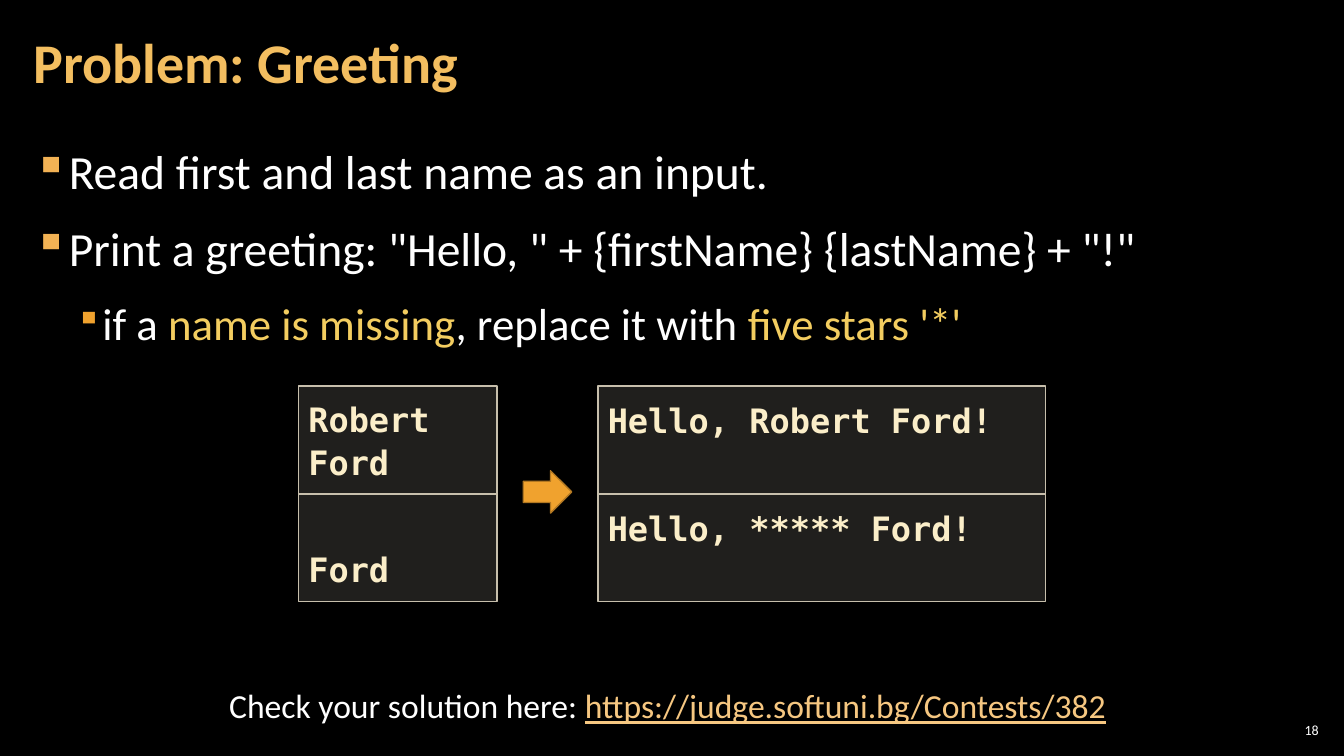
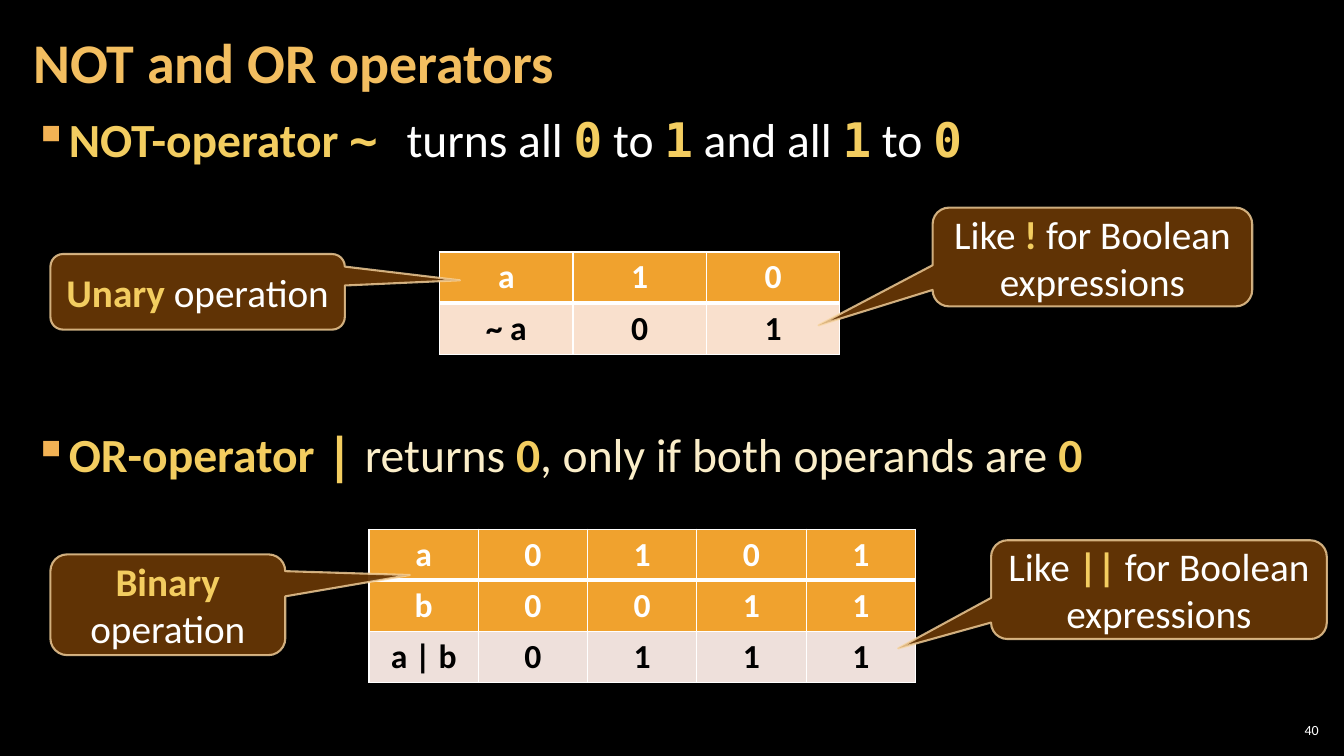
from lxml import etree
from pptx import Presentation
from pptx.dml.color import RGBColor
from pptx.enum import shapes, text
from pptx.oxml import ns
from pptx.util import Inches, Pt

rgb = RGBColor.from_string
SANS, MONO = "Calibri", "DejaVu Sans Mono"
WHITE, BLACK, CREAM = "FFFFFF", "000000", "FBEEC9"
TITLE, YELLOW, ORANGE = "F3BE60", "F3CD60", "F0A22E"
LEFT, MIDDLE = text.PP_ALIGN.LEFT, text.MSO_ANCHOR.MIDDLE
CENTER, RIGHT = text.PP_ALIGN.CENTER, text.PP_ALIGN.RIGHT


def add_runs(p, size, runs, align=LEFT):
    p.alignment = align
    for words, color, bold, font in runs:
        r = p.add_run()
        r.text = words
        r.font.size = Pt(size)
        r.font.name = font
        r.font.bold = bold
        r.font.color.rgb = rgb(color)
    return p


def paint(sp, fill, line, width, fill_alpha=100, line_alpha=100):
    sp.shadow.inherit = False
    sp.fill.solid()
    sp.fill.fore_color.rgb = rgb(fill)
    sp.line.color.rgb = rgb(line)
    sp.line.width = Pt(width)
    for route, alpha in (("", fill_alpha), ("a:ln/", line_alpha)):
        clr = sp._element.spPr.xpath(f"./{route}a:solidFill/a:srgbClr")[0]
        etree.SubElement(clr, ns.qn("a:alpha"), val=str(alpha * 1000))


prs = Presentation()
prs.slide_width, prs.slide_height = Inches(13.33), Inches(7.5)
back = prs.slide_master.background.fill
back.solid()
back.fore_color.rgb = rgb(BLACK)
layout = prs.slide_layouts[5]

greeting_body = [
    (0, 0, [("Read first and last name as an input.", WHITE, False, SANS)]),
    (0, 6, [('Print a greeting: "Hello, " + {firstName} {lastName} + "!"', WHITE, False, SANS)]),
    (1, 6, [("if a ", WHITE, False, SANS), ("name is missing", YELLOW, False, SANS),
            (", replace it with ", WHITE, False, SANS), ("five stars '*'", YELLOW, False, SANS)]),
]
operators_body = [
    (0, 0, [("NOT-operator ", YELLOW, True, SANS), ("~ ", YELLOW, True, MONO),
            ("turns all ", WHITE, False, SANS), ("0", YELLOW, True, MONO),
            (" to ", WHITE, False, SANS), ("1", YELLOW, True, MONO),
            (" and all ", WHITE, False, SANS), ("1", YELLOW, True, MONO),
            (" to ", WHITE, False, SANS), ("0", YELLOW, True, MONO)]),
    (0, 183, [("OR-operator ", YELLOW, True, SANS), ("|", YELLOW, True, MONO),
              (" returns ", CREAM, False, SANS), ("0", YELLOW, True, SANS),
              (", only if both operands are ", CREAM, False, SANS), ("0", YELLOW, True, SANS)]),
]
levels = [(34, 0.33, 0.33, "F2B254", 100), (32, 0.67, 0.25, ORANGE, 80)]
pages = [
    ("Problem: Greeting", "18", 1.34, 1.05, greeting_body),
    ("NOT and OR operators", "40", 1.12, Pt(36), operators_body),
]

for title, number, top, spacing, body in pages:
    s = prs.slides.add_slide(layout)
    sp = s.shapes.title
    sp.left, sp.top, sp.width, sp.height = [Inches(v) for v in (0.21, 0.04, 10.47, 1.21)]
    num = s.shapes.add_textbox(Inches(12.65), Inches(7.14), Inches(0.47), Inches(0.21))
    box = s.shapes.add_textbox(Inches(0.21), Inches(top), Inches(12.91), Inches(7.35 - top))
    for holder, side in ((sp, 0.12), (num, 0.04), (box, 0.12)):
        tf = holder.text_frame
        tf.word_wrap = True
        tf.auto_size = text.MSO_AUTO_SIZE.NONE
        tf.margin_left = tf.margin_right = Inches(side)
        tf.margin_top = tf.margin_bottom = Inches(0.04)
        tf.vertical_anchor = text.MSO_ANCHOR.TOP if holder is box else MIDDLE
    p = add_runs(sp.text_frame.paragraphs[0], 40, [(title, TITLE, True, SANS)])
    p.line_spacing = 0.9
    add_runs(num.text_frame.paragraphs[0], 10, [(number, WHITE, False, SANS)], RIGHT)

    tf = box.text_frame
    for i, (level, before, runs) in enumerate(body):
        p = tf.add_paragraph() if i else tf.paragraphs[0]
        size, margin, hang, color, percent = levels[level]
        p.level = level
        pPr = p._p.get_or_add_pPr()
        pPr.set("marL", str(Inches(margin)))
        pPr.set("indent", str(-Inches(hang)))
        clr = etree.SubElement(pPr, ns.qn("a:buClr"))
        etree.SubElement(clr, ns.qn("a:srgbClr"), val=color)
        etree.SubElement(pPr, ns.qn("a:buSzPct"), val=str(percent * 1000))
        etree.SubElement(pPr, ns.qn("a:buChar"), char="▪")
        p.line_spacing = spacing
        p.space_before, p.space_after = Pt(before), Pt(6)
        add_runs(p, size, runs)

greeting, operators = prs.slides

columns = [
    (2.96, 1.97, [["Robert", "Ford"], ["Hello, Robert Ford!"]][0], ["Ford"], text.MSO_ANCHOR.BOTTOM),
    (5.93, 4.44, ["Hello, Robert Ford!"], ["Hello, ***** Ford!"], text.MSO_ANCHOR.TOP),
]
columns[0] = (2.96, 1.97, ["Robert", "Ford"], ["Ford"], text.MSO_ANCHOR.BOTTOM)
for left, width, first, second, anchor in columns:
    for row, lines in enumerate((first, second)):
        sp = greeting.shapes.add_shape(shapes.MSO_SHAPE.RECTANGLE, Inches(left),
                                       Inches(3.83 + 1.07 * row), Inches(width), Inches(1.07))
        paint(sp, "D9D5C7", "C7BFAC", 1, fill_alpha=15)
        tf = sp.text_frame
        tf.word_wrap = True
        tf.vertical_anchor = anchor
        tf.margin_left = tf.margin_right = Inches(0.1)
        tf.margin_top = tf.margin_bottom = Inches(0.12)
        for i, line in enumerate(lines):
            p = tf.add_paragraph() if i else tf.paragraphs[0]
            p.line_spacing = 1.05
            add_runs(p, 24, [(line, CREAM, True, MONO)])

arrow = greeting.shapes.add_shape(shapes.MSO_SHAPE.RIGHT_ARROW, Inches(5.19), Inches(4.67),
                                  Inches(0.48), Inches(0.42))
paint(arrow, ORANGE, "B27822", 1)

check = greeting.shapes.add_textbox(Inches(0.83), Inches(6.75), Inches(11.58), Inches(0.5))
check.text_frame.word_wrap = True
p = add_runs(check.text_frame.paragraphs[0], 24, [
    ("Check your solution here: ", WHITE, False, SANS),
    ("https://judge.softuni.bg/Contests/382", "F6C781", False, SANS)], CENTER)
p.runs[1].font.underline = True

tables = [
    (4.36, 2.5, 3.97, "F9E0CD", [["a", "1", "0"], ["~ a", "0", "1"]]),
    (3.66, 5.25, 5.42, "EEE0DB", [["a", "0", "1", "0", "1"], ["b", "0", "0", "1", "1"],
                                  ["a | b", "0", "1", "1", "1"]]),
]
for left, top, width, result_fill, rows in tables:
    table = operators.shapes.add_table(len(rows), len(rows[0]), Inches(left), Inches(top),
                                       Inches(width), Inches(0.5 * len(rows))).table
    for i, row in enumerate(rows):
        result = i == len(rows) - 1
        for j, value in enumerate(row):
            cell = table.cell(i, j)
            cell.vertical_anchor = MIDDLE
            cell.fill.solid()
            cell.fill.fore_color.rgb = rgb(result_fill if result else ORANGE)
            add_runs(cell.text_frame.paragraphs[0], 24,
                     [(value, BLACK if result else WHITE, True, SANS)], CENTER)
            edges = {"L": 1, "R": 1, "T": 3 if i == 1 else 1, "B": 3 if i == 0 else 1}
            tcPr = cell._tc.get_or_add_tcPr()
            for k, (edge, weight) in enumerate(edges.items()):
                ln = etree.Element(ns.qn(f"a:ln{edge}"), w=str(Pt(weight)))
                fill = etree.SubElement(ln, ns.qn("a:solidFill"))
                etree.SubElement(fill, ns.qn("a:srgbClr"), val=WHITE)
                tcPr.insert(k, ln)

callouts = [
    (0.5, 2.52, 2.92, 0.75, (0.891, -0.152),
     [("Unary ", YELLOW, True, SANS), ("operation", WHITE, False, SANS)]),
    (9.25, 2.06, 3.17, 0.98, (-0.857, 0.692),
     [("Like ", WHITE, False, SANS), ("! ", YELLOW, True, SANS),
      ("for Boolean expressions", WHITE, False, SANS)]),
    (0.5, 5.5, 2.33, 1, (1.03, -0.295),
     [("Binary ", YELLOW, True, SANS), ("operation", WHITE, False, SANS)]),
    (9.83, 5.36, 3.33, 0.98, (-0.777, 0.595),
     [("Like ", WHITE, False, SANS), ("|| ", YELLOW, True, SANS),
      ("for Boolean expressions", WHITE, False, SANS)]),
]
for left, top, width, height, tip, runs in callouts:
    sp = operators.shapes.add_shape(shapes.MSO_SHAPE.ROUNDED_RECTANGULAR_CALLOUT, Inches(left),
                                    Inches(top), Inches(width), Inches(height))
    sp.adjustments[0], sp.adjustments[1] = tip
    paint(sp, "663606", "F8D49E", 1.5, fill_alpha=95, line_alpha=80)
    tf = sp.text_frame
    tf.word_wrap = True
    tf.vertical_anchor = MIDDLE
    add_runs(tf.paragraphs[0], 28, runs, CENTER)

prs.save("out.pptx")
